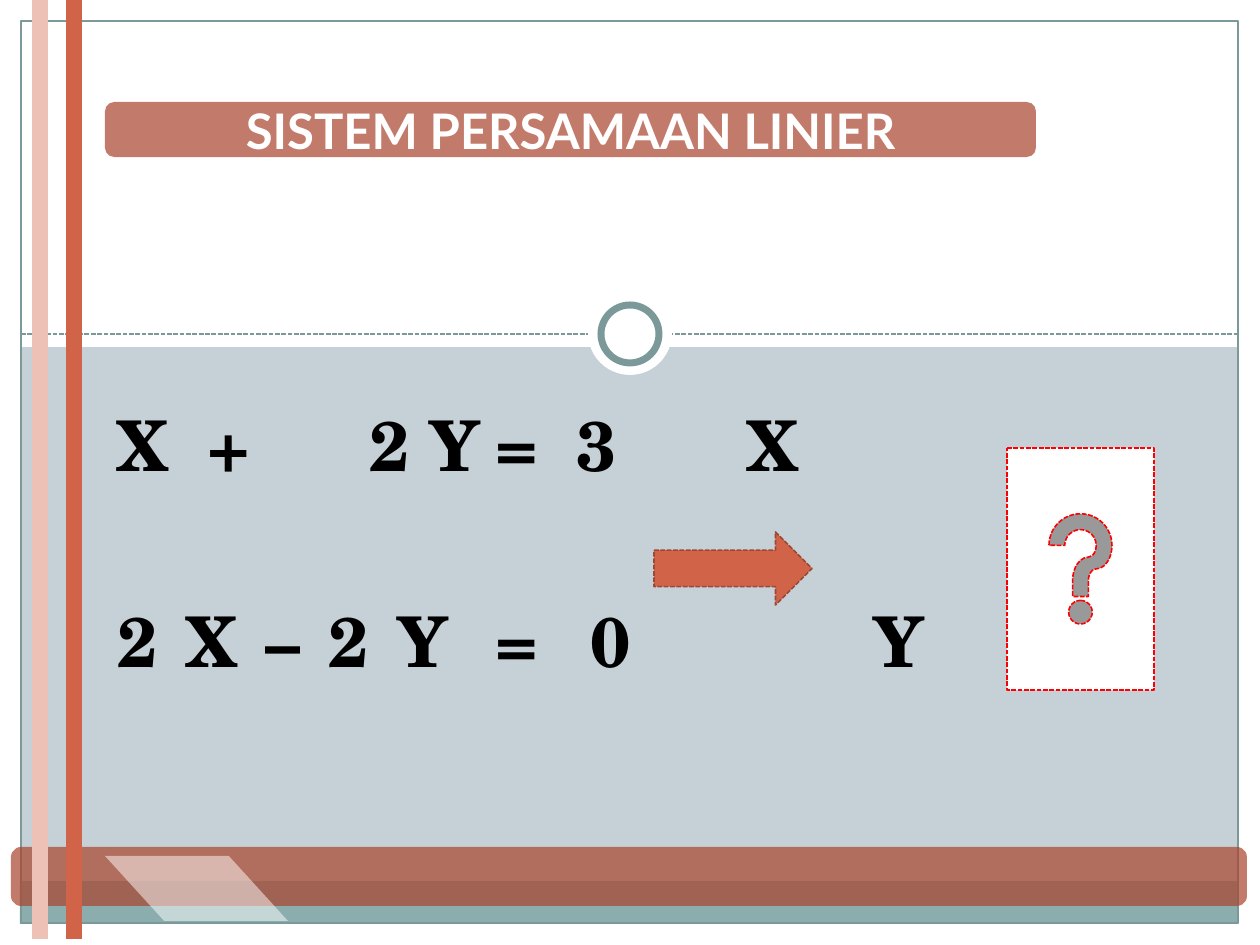
from lxml.etree import SubElement
from pptx import Presentation
from pptx.dml.color import RGBColor
from pptx.enum.dml import MSO_LINE
from pptx.enum.shapes import MSO_CONNECTOR, MSO_SHAPE
from pptx.enum.text import MSO_ANCHOR, PP_ALIGN
from pptx.oxml.ns import qn
from pptx.util import Emu, Pt

EMU_PER_PX = 914400 / 126
WHITE, SLATE, RUST, BRICK = "FFFFFF", "7C999A", "D16349", "A9432B"


def px(length):
    return Emu(round(length * EMU_PER_PX))


def rgb(color):
    return RGBColor.from_string(color)


class SlideBuilder:
    title_font = "Lato"
    body_font = "TeX Gyre Schola"

    def __init__(self, presentation, background):
        self.slide = presentation.slides.add_slide(presentation.slide_layouts[5])
        self.slide.background.fill.solid()
        self.slide.background.fill.fore_color.rgb = rgb(background)

    def style_line(self, line, color, width, dashed):
        line.color.rgb = rgb(color)
        line.width = Pt(width)
        if dashed:
            line.dash_style = MSO_LINE.SQUARE_DOT

    def shape(self, kind, box, fill=None, opacity=100, line=None, width=0.9,
              dashed=False, adjust=None, flip=False):
        shape = self.slide.shapes.add_shape(kind, *map(px, box))
        shape.shadow.inherit = False
        if fill:
            shape.fill.solid()
            shape.fill.fore_color.rgb = rgb(fill)
            if opacity < 100:
                color = shape.element.spPr.find(qn("a:solidFill"))[0]
                SubElement(color, qn("a:alpha"), val=str(opacity * 1000))
        else:
            shape.fill.background()
        if line:
            self.style_line(shape.line, line, width, dashed)
        else:
            shape.line.fill.background()
        if adjust is not None:
            shape.adjustments[0] = adjust
        if flip:
            shape.element.spPr.find(qn("a:xfrm")).set("flipH", "1")
        return shape

    def line(self, start, end, color, width, dashed=False):
        connector = self.slide.shapes.add_connector(
            MSO_CONNECTOR.STRAIGHT, *map(px, start + end))
        self.style_line(connector.line, color, width, dashed)
        SubElement(connector.element.spPr, qn("a:effectLst"))

    def style_font(self, paragraph, name, size, color):
        font = paragraph.font
        font.name, font.size, font.bold = name, Pt(size), True
        font.color.rgb = rgb(color)

    def title(self, text, box, bar):
        title = self.slide.shapes.title
        bar.element.addnext(title.element)
        title.left, title.top, title.width, title.height = map(px, box)
        frame = title.text_frame
        frame.text = text
        frame.word_wrap = False
        frame.vertical_anchor = MSO_ANCHOR.MIDDLE
        frame.margin_top = frame.margin_bottom = 0
        paragraph = frame.paragraphs[0]
        paragraph.alignment = PP_ALIGN.CENTER
        self.style_font(paragraph, self.title_font, 28, WHITE)

    def equations(self, rows, box, top_margin, gap):
        frame = self.slide.shapes.add_textbox(*map(px, box)).text_frame
        frame.word_wrap = True
        frame.margin_top = px(top_margin)
        for index, (terms, stops, spacing) in enumerate(rows):
            paragraph = frame.add_paragraph() if index else frame.paragraphs[0]
            paragraph.space_before = Pt(gap if index else 0)
            run = paragraph.add_run()
            run.text = "\t".join(terms)
            self.style_font(paragraph, self.body_font, 40, "000000")
            run.font.size = Pt(40)
            if spacing:
                run.font._element.set("spc", str(spacing))
            tabs = SubElement(paragraph._p.get_or_add_pPr(), qn("a:tabLst"))
            paragraph._p.pPr.find(qn("a:defRPr")).addprevious(tabs)
            for stop in stops:
                SubElement(tabs, qn("a:tab"), pos=str(px(stop)), algn="l")


def main():
    presentation = Presentation()
    presentation.slide_width, presentation.slide_height = px(1260), px(945)
    builder = SlideBuilder(presentation, "C5D1D7")

    for box in ((0, 924, 1260, 21), (1239, 0, 21, 945),
                (0, 0, 21, 945), (0, 0, 1260, 347)):
        builder.shape(MSO_SHAPE.RECTANGLE, box, WHITE)
    builder.shape(MSO_SHAPE.RECTANGLE, (20, 881, 1217, 43), "8CADAE")
    builder.line((21, 334), (1239, 334), SLATE, 0.9, dashed=True)
    builder.shape(MSO_SHAPE.RECTANGLE, (21, 21, 1217, 902), line=SLATE, width=0.75)
    builder.shape(MSO_SHAPE.OVAL, (588, 291, 84, 84), WHITE)
    builder.shape(MSO_SHAPE.OVAL, (601, 305, 58, 58), WHITE, line=SLATE, width=4)

    title_box = (105, 102, 931, 55)
    title_bar, _ = [
        builder.shape(MSO_SHAPE.ROUNDED_RECTANGLE, box, BRICK, 70, adjust=0.17)
        for box in (title_box, (11, 847, 1236, 59))]
    builder.title("SISTEM PERSAMAAN LINIER", title_box, title_bar)
    builder.shape(MSO_SHAPE.PARALLELOGRAM, (105, 856, 183, 65), WHITE, 50,
                  adjust=0.91, flip=True)
    for x, color in ((40, "EDC1B6"), (74, RUST)):
        builder.line((x, -6), (x, 939), color, 9)

    builder.equations(
        [(("X", "+", "2 Y", "=", "3", "X"), (90, 252, 378, 459, 630), 0),
         (("2 X – 2 Y", "=", "0", "Y"), (378, 473, 756), 250)],
        (105, 344, 1096, 377), top_margin=58, gap=64)
    builder.shape(MSO_SHAPE.RIGHT_ARROW, (654, 532, 158, 73), RUST,
                  line="9B4936", dashed=True)
    builder.shape(MSO_SHAPE.ACTION_BUTTON_HELP, (1007, 448, 147, 242), WHITE,
                  line="FF0000", dashed=True)

    presentation.save("out.pptx")


if __name__ == "__main__":
    main()
